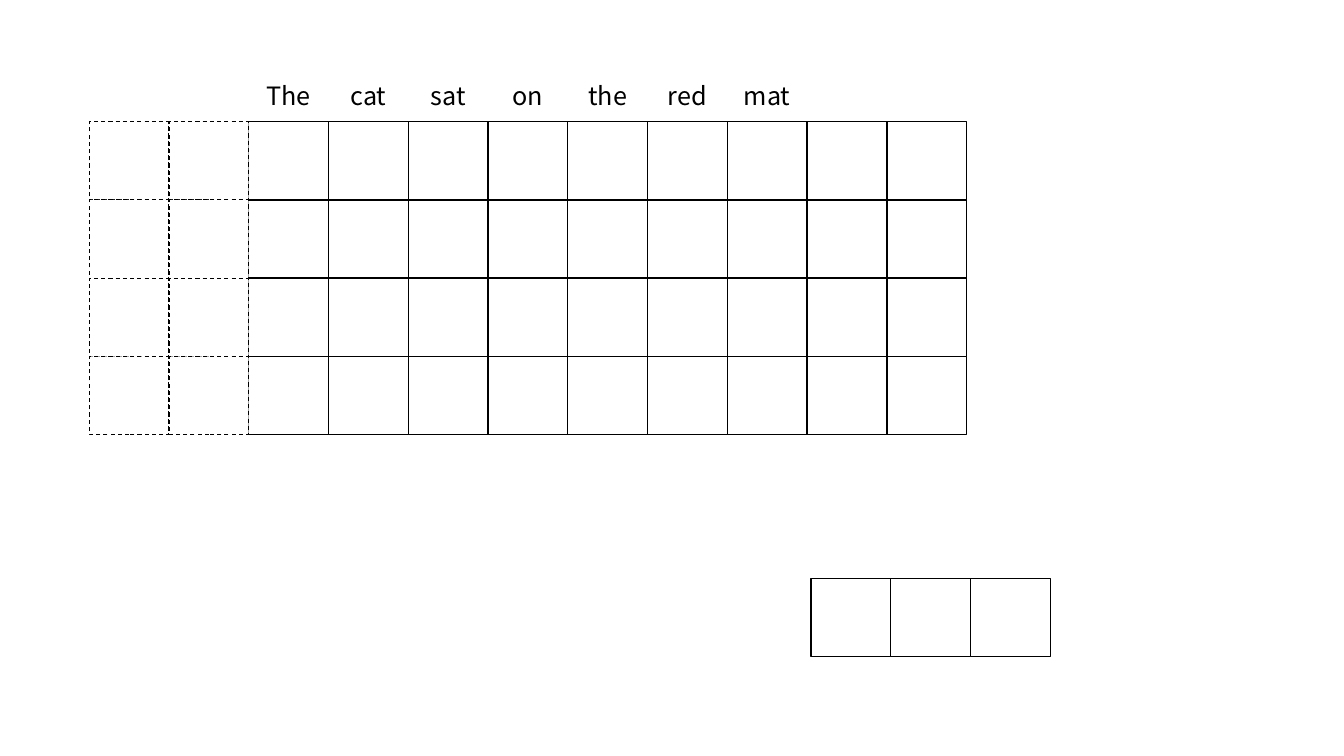
import dataclasses
import itertools

import pptx
import pptx.dml.color
import pptx.enum.dml
import pptx.enum.shapes
import pptx.enum.text
import pptx.util

Cm = pptx.util.Cm
Pt = pptx.util.Pt

CELL_WIDTH = 2.01
CELL_HEIGHT = 1.97
MATRIX_LEFT = 6.27
MATRIX_TOP = 3.07
PADDING_COLUMNS = 2
LABEL_TOP = 1.9
LABEL_WIDTH = 2.13
LABEL_HEIGHT = 1.02
WORDS = ["The", "cat", "sat", "on", "the", "red", "mat"]
FONT_FORMAT = {"name": "Noto Sans CJK KR", "size": Pt(18)}
LABEL_FORMAT = {
    "word_wrap": True,
    "auto_size": pptx.enum.text.MSO_AUTO_SIZE.SHAPE_TO_FIT_TEXT,
}


@dataclasses.dataclass
class Grid:
    left: float
    top: float
    rows: int
    columns: int
    line_width: float = 1
    dashed: bool = False


GRIDS = [
    # Word matrix
    Grid(MATRIX_LEFT, MATRIX_TOP, 4, len(WORDS) + 2),
    # Filter
    Grid(20.44, 14.58, 1, 3),
    # Padding before the sentence
    Grid(MATRIX_LEFT - PADDING_COLUMNS * CELL_WIDTH, MATRIX_TOP,
         4, PADDING_COLUMNS, 0.75, True),
]


def color(value: str) -> pptx.dml.color.RGBColor:
    return pptx.dml.color.RGBColor.from_string(value)


def apply_format(target: object, values: dict) -> None:
    for name, value in values.items():
        setattr(target, name, value)


def draw_grid(page: pptx.slide.Slide, grid: Grid) -> None:
    for row, column in itertools.product(range(grid.rows), range(grid.columns)):
        cell = page.shapes.add_shape(
            pptx.enum.shapes.MSO_SHAPE.RECTANGLE,
            Cm(grid.left + column * CELL_WIDTH),
            Cm(grid.top + row * CELL_HEIGHT),
            Cm(CELL_WIDTH), Cm(CELL_HEIGHT))
        cell.shadow.inherit = False
        cell.fill.solid()
        cell.fill.fore_color.rgb = color("FFFFFF")
        cell.line.color.rgb = color("000000")
        cell.line.width = Pt(grid.line_width)
        if grid.dashed:
            cell.line.dash_style = pptx.enum.dml.MSO_LINE.DASH


def draw_label(page: pptx.slide.Slide, word: str, column: int) -> None:
    center = MATRIX_LEFT + (column + 0.5) * CELL_WIDTH
    box = page.shapes.add_textbox(
        Cm(center - LABEL_WIDTH / 2), Cm(LABEL_TOP),
        Cm(LABEL_WIDTH), Cm(LABEL_HEIGHT))
    apply_format(box.text_frame, LABEL_FORMAT)
    para = box.text_frame.paragraphs[0]
    para.alignment = pptx.enum.text.PP_ALIGN.CENTER
    span = para.add_run()
    span.text = word
    apply_format(span.font, FONT_FORMAT)
    span.font.color.rgb = color("000000")


def main() -> None:
    deck = pptx.Presentation()
    deck.slide_width = Cm(33.87)
    deck.slide_height = Cm(19.05)
    page = deck.slides.add_slide(deck.slide_layouts[6])

    # Cells
    for grid in GRIDS:
        draw_grid(page, grid)

    # Words above the matrix columns
    for column, word in enumerate(WORDS):
        draw_label(page, word, column)

    deck.save("out.pptx")


if __name__ == "__main__":
    main()
